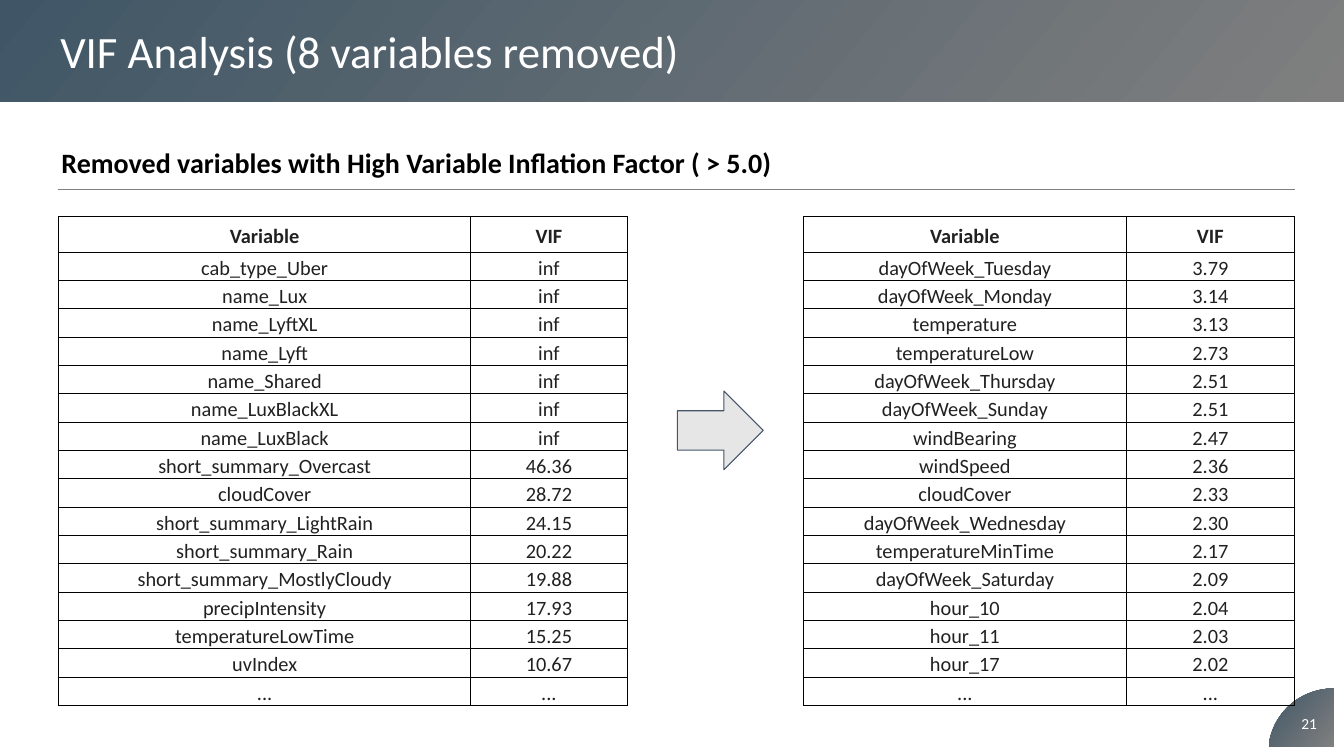
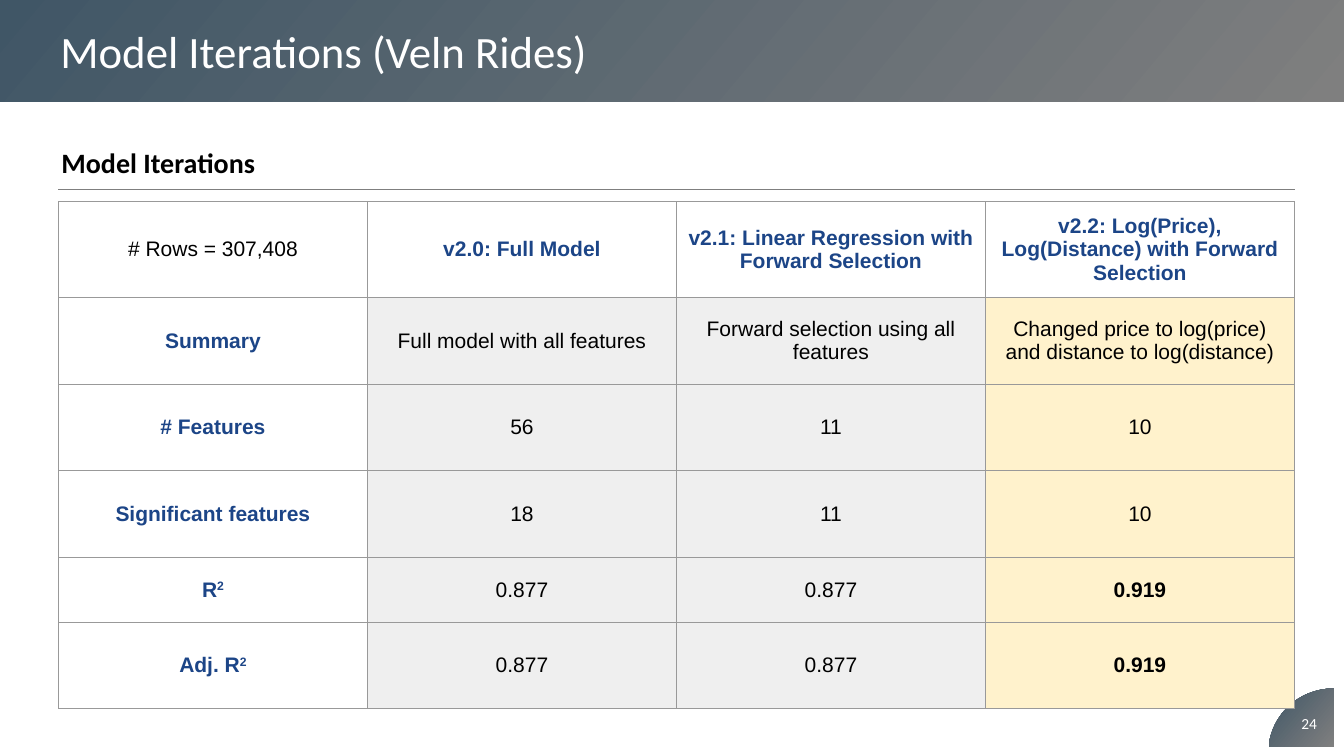
from dataclasses import dataclass

from lxml.etree import SubElement as Sub
from pptx import Presentation
from pptx.dml.color import RGBColor as Rgb
from pptx.enum.shapes import MSO_CONNECTOR as Link, MSO_SHAPE as Kind
from pptx.enum.text import MSO_ANCHOR as Anchor, PP_ALIGN as Align
from pptx.oxml.ns import qn
from pptx.util import Inches, Pt

HUES = {
    "dark": "405666", "gray": "7F7F7F", "white": "FFFFFF", "black": "000000",
    "ink": "212121", "blue": "1C4587", "rule": "999999", "pale": "EFEFEF",
    "cream": "FFF2CC", "arrow": "E7E6E6", "edge": "44546A",
}
WIDE, HIGH = Inches(13.33), Inches(7.5)
LEFT, RIGHT = 4.35, 96.32  # body margins, percent of the width
BODY = RIGHT - LEFT


@dataclass(frozen=True)
class Box:
    """Place and size in percent of the slide."""
    x: float
    y: float
    w: float
    h: float

    def emu(self) -> tuple[int, int, int, int]:
        return across(self.x), down(self.y), across(self.w), down(self.h)


@dataclass(frozen=True)
class Type:
    size: float
    hue: str
    bold: bool = False
    face: str = "Calibri"


@dataclass(frozen=True)
class Cell:
    text: str
    type: Type
    fill: str = ""


@dataclass(frozen=True)
class Grid:
    """Column widths in percent of the body, row heights of the slide."""
    cells: list[list[Cell]]
    cols: list[float]
    rows: list[float]
    top: float
    line: str
    inset: float = 0
    space: float = 1.0
    flush: bool = False  # True: ends at the right margin


TITLE = Type(32, "white")
HEAD = Type(20, "black", True)
PAGE = Type(11, "white")
VIF, VIF_HEAD = Type(14.5, "ink"), Type(14.5, "ink", True)
PLAIN, STRONG = Type(15, "black", face="Arial"), Type(15, "black", True, "Arial")
LABEL = Type(15, "blue", True, "Arial")


def across(share: float) -> int:
    return round(WIDE * share / 100)


def down(share: float) -> int:
    return round(HIGH * share / 100)


def color(name: str) -> Rgb:
    return Rgb.from_string(HUES[name])


def write(frame, text: str, kind: Type, align=Align.LEFT):
    """Add one paragraph; a part after ^ is raised."""
    para = frame.paragraphs[0]
    para.alignment = align
    for step, part in enumerate(text.split("^")):
        run = para.add_run()
        run.text = part
        font = run.font
        font.size, font.bold, font.name = Pt(kind.size), kind.bold, kind.face
        font.color.rgb = color(kind.hue)
        if step:
            run._r.get_or_add_rPr().set("baseline", "30000")
    return para


def blend(shape) -> None:
    """Slanted dark-to-gray fill without outline."""
    shape.shadow.inherit = False
    shape.line.fill.background()
    shape.fill.gradient()
    shape.fill.gradient_angle = 320
    for stop, name in zip(shape.fill.gradient_stops, ("dark", "gray")):
        stop.color.rgb = color(name)


def label(slide, box: Box, text: str, kind: Type, align=Align.LEFT, anchor=Anchor.TOP) -> None:
    frame = slide.shapes.add_textbox(*box.emu()).text_frame
    frame.word_wrap = True
    frame.vertical_anchor = anchor
    write(frame, text, kind, align)


def corner(slide, page: int) -> None:
    x, y, w, h = Box(94.45, 91.07, 4.8, 7.73).emu()
    bend = [(0, 0.9), (0.09, 0.38), (0.5, 0), (1, 0)]
    spots = [(1, 0), (1, 1), (0, 1)]
    for step in range(25):
        t = step / 24
        parts = ((1 - t) ** 3, 3 * t * (1 - t) ** 2, 3 * t * t * (1 - t), t ** 3)
        spots.append(tuple(sum(p * b[i] for p, b in zip(parts, bend)) for i in (0, 1)))
    path = [(round(x + w * a), round(y + h * b)) for a, b in spots]
    pen = slide.shapes.build_freeform(*path[0], scale=1.0)
    pen.add_line_segments(path[1:], close=True)
    blend(pen.convert_to_shape())
    label(slide, Box(95.8, 93.07, 3.23, 5.33), str(page), PAGE, Align.CENTER, Anchor.MIDDLE)


def start(deck, title: str, head: str, page: int):
    """Blank slide with page corner, title band, heading and rule."""
    slide = deck.slides.add_slide(deck.slide_layouts[6])
    corner(slide, page)
    band = slide.shapes.add_shape(Kind.RECTANGLE, *Box(0, 0, 100, 13.47).emu())
    blend(band)
    band.text_frame.vertical_anchor = Anchor.MIDDLE
    para = write(band.text_frame, title, TITLE)
    para._p.get_or_add_pPr().set("indent", str(Inches(0.5)))
    label(slide, Box(3.83, 18.53, 55, 5.33), head, HEAD)
    y = down(25.07)
    rule = slide.shapes.add_connector(Link.STRAIGHT, across(LEFT), y, across(RIGHT), y)
    rule.line.color.rgb = color("gray")
    rule.line.width = Pt(0.75)
    Sub(rule._element.spPr, qn("a:effectLst"))
    return slide


def border(cell, name: str) -> None:
    props = cell._tc.get_or_add_tcPr()
    for side in ("lnL", "lnR", "lnT", "lnB"):
        line = Sub(props, qn(f"a:{side}"), w=str(Pt(0.75)))
        Sub(Sub(line, qn("a:solidFill")), qn("a:srgbClr"), val=HUES[name])


def table(slide, grid: Grid) -> None:
    cols = [share * BODY / 100 for share in grid.cols]
    left = RIGHT - sum(cols) if grid.flush else LEFT
    box = Box(left, grid.top, sum(cols), sum(grid.rows))
    tab = slide.shapes.add_table(len(grid.rows), len(cols), *box.emu()).table
    tab.first_row = tab.horz_banding = False
    for col, share in zip(tab.columns, cols):
        col.width = across(share)
    for row, share, items in zip(tab.rows, grid.rows, grid.cells):
        row.height = down(share)
        for cell, item in zip(row.cells, items):
            cell.margin_left = cell.margin_right = Inches(grid.inset)
            cell.margin_top = cell.margin_bottom = Inches(grid.inset)
            cell.vertical_anchor = Anchor.MIDDLE
            border(cell, grid.line)
            if item.fill:
                cell.fill.solid()
                cell.fill.fore_color.rgb = color(item.fill)
            else:
                cell.fill.background()
            write(cell.text_frame, item.text, item.type, Align.CENTER).line_spacing = grid.space


def factors(slide, pairs: list[tuple[str, str]], cols: list[float], flush: bool) -> None:
    """Table of variables and their VIF."""
    rows = [("Variable", "VIF"), *pairs, ("...", "...")]
    cells = [[Cell(text, VIF if i else VIF_HEAD) for text in row] for i, row in enumerate(rows)]
    heights = [4.67] + [3.75] * (len(rows) - 1)
    table(slide, Grid(cells, cols, heights, 28.67, "black", space=1.15, flush=flush))


BEFORE = [
    ("cab_type_Uber", "inf"), ("name_Lux", "inf"), ("name_LyftXL", "inf"),
    ("name_Lyft", "inf"), ("name_Shared", "inf"), ("name_LuxBlackXL", "inf"),
    ("name_LuxBlack", "inf"), ("short_summary_Overcast", "46.36"),
    ("cloudCover", "28.72"), ("short_summary_LightRain", "24.15"),
    ("short_summary_Rain", "20.22"), ("short_summary_MostlyCloudy", "19.88"),
    ("precipIntensity", "17.93"), ("temperatureLowTime", "15.25"), ("uvIndex", "10.67"),
]
AFTER = [
    ("dayOfWeek_Tuesday", "3.79"), ("dayOfWeek_Monday", "3.14"), ("temperature", "3.13"),
    ("temperatureLow", "2.73"), ("dayOfWeek_Thursday", "2.51"), ("dayOfWeek_Sunday", "2.51"),
    ("windBearing", "2.47"), ("windSpeed", "2.36"), ("cloudCover", "2.33"),
    ("dayOfWeek_Wednesday", "2.30"), ("temperatureMinTime", "2.17"),
    ("dayOfWeek_Saturday", "2.09"), ("hour_10", "2.04"), ("hour_11", "2.03"),
    ("hour_17", "2.02"),
]
MODELS = [
    ("# Rows = 307,408", "v2.0: Full Model", "v2.1: Linear Regression with Forward Selection",
     "v2.2: Log(Price), Log(Distance) with Forward Selection"),
    ("Summary", "Full model with all features", "Forward selection using all features",
     "Changed price to log(price) and distance to log(distance)"),
    ("# Features", "56", "11", "10"),
    ("Significant features", "18", "11", "10"),
    ("R^2", "0.877", "0.877", "0.919"),
    ("Adj. R^2", "0.877", "0.877", "0.919"),
]


def model(row: int, col: int, text: str) -> Cell:
    """Blue labels at the edges; the last model is marked."""
    if row == 0 or col == 0:
        return Cell(text, LABEL if row or col else PLAIN)
    last = col == 3
    return Cell(text, STRONG if last and row >= 4 else PLAIN, "cream" if last else "pale")


def removed(deck) -> None:
    slide = start(deck, "VIF Analysis (8 variables removed)",
                  "Removed variables with High Variable Inflation Factor ( > 5.0)", 21)
    factors(slide, BEFORE, [33.36, 12.64], False)
    arrow = slide.shapes.add_shape(Kind.RIGHT_ARROW, *Box(50.41, 51.73, 6.38, 10.4).emu())
    arrow.shadow.inherit = False
    arrow.fill.solid()
    arrow.fill.fore_color.rgb = color("arrow")
    arrow.line.color.rgb = color("edge")
    arrow.line.width = Pt(0.75)
    factors(slide, AFTER, [26.1, 13.62], True)


def models(deck) -> None:
    slide = start(deck, "Model Iterations (Veln Rides)", "Model Iterations", 24)
    cells = [[model(r, c, text) for c, text in enumerate(row)] for r, row in enumerate(MODELS)]
    rows = [11.75, 11.47, 11.47, 11.47, 8.53, 11.47]
    table(slide, Grid(cells, [25] * 4, rows, 26.67, "rule", inset=0.1))


def main() -> None:
    deck = Presentation()
    deck.slide_width, deck.slide_height = WIDE, HIGH
    removed(deck)
    models(deck)
    deck.save("out.pptx")


if __name__ == "__main__":
    main()
